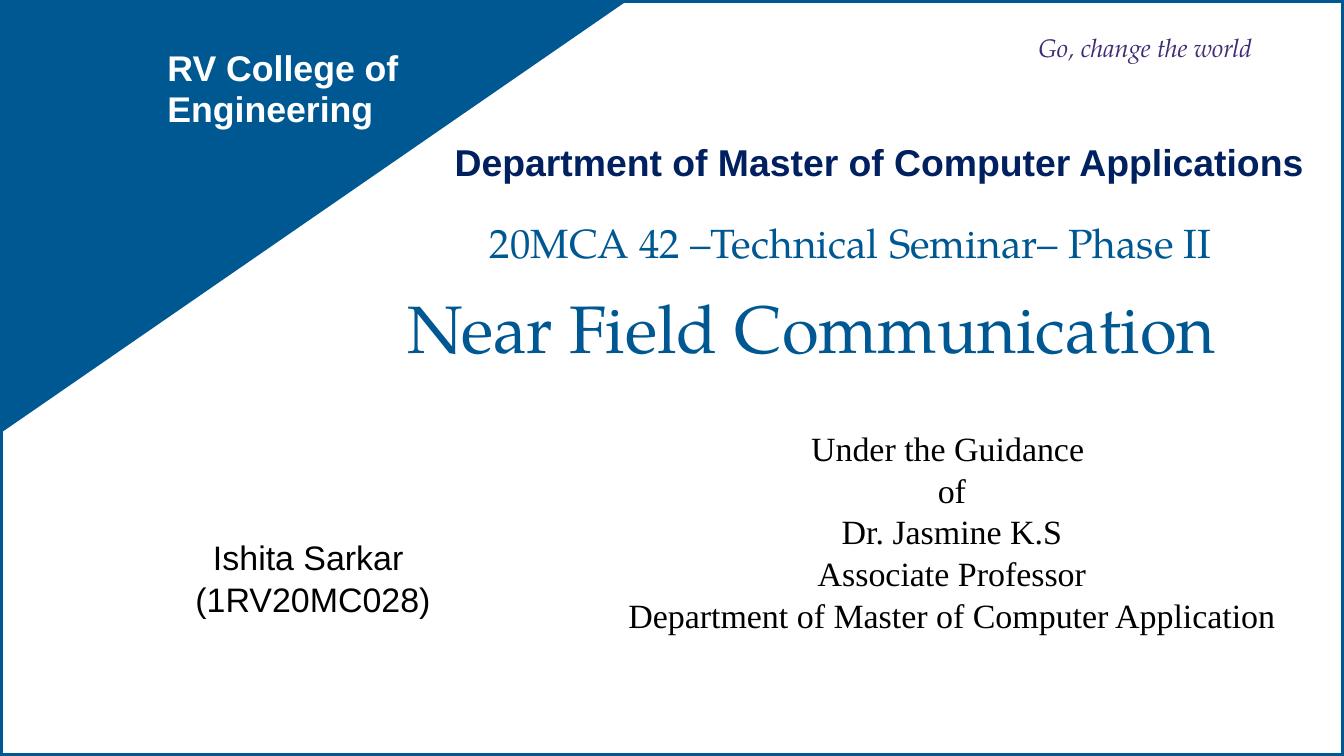
from dataclasses import dataclass

from pptx import Presentation
from pptx import util as u
from pptx.dml.color import RGBColor
from pptx.enum import shapes, text

BLUE, NAVY, PURPLE = "005893", "002060", "422C75"
WHITE, BLACK = "FFFFFF", "000000"
SERIF = "TeX Gyre Pagella"
WIDTH, HEIGHT = 21.99, 12.37
CENTER, RIGHT = text.PP_ALIGN.CENTER, text.PP_ALIGN.RIGHT


@dataclass
class Block:
    box: tuple[float, float, float, float]
    lines: list[str]
    size: float
    font: str = SERIF
    color: str = BLUE
    bold: bool = False
    italic: bool = False
    align: text.PP_ALIGN = text.PP_ALIGN.LEFT
    spacing: float | None = None


BLOCKS = [
    Block((2.74, 0.79, 4.17, 1.33), ["RV College of", "Engineering"], 42,
          "Arial", WHITE, bold=True, spacing=47),
    Block((16.99, 0.52, 4.42, 0.51), ["Go, change the world"], 30,
          color=PURPLE, italic=True),
    Block((6.91, 2.27, 14.44, 1.48),
          ["Department of Master of Computer Applications"], 44,
          "Arial", NAVY, bold=True, align=RIGHT),
    Block((6.66, 4.68, 14.92, 1.33), ["Near Field Communication"], 79),
    Block((0.83, 8.77, 8.58, 1.36), ["Ishita Sarkar ", "(1RV20MC028)"], 40,
          "Arial", BLACK, align=CENTER),
    Block((9.74, 6.99, 11.67, 4.07),
          ["Under the Guidance ", "of", "Dr. Jasmine K.S",
           "Associate Professor",
           "Department of Master of Computer Application"], 40,
          "Times New Roman", BLACK, align=CENTER),
    Block((7.38, 3.56, 13.08, 0.81),
          ["20MCA 42 –Technical Seminar– Phase II"], 48, align=CENTER),
]


def rgb(value: str) -> RGBColor:
    return RGBColor.from_string(value)


def add_text(p, content: str, *, size: float, font: str, color: str,
             bold: bool, italic: bool) -> None:
    r = p.add_run()
    r.text = content
    r.font.size = u.Pt(size)
    r.font.name = font
    r.font.color.rgb = rgb(color)
    r.font.bold = bold
    r.font.italic = italic


def draw_block(s, block: Block) -> None:
    sp = s.shapes.add_textbox(*map(u.Inches, block.box))
    tf = sp.text_frame
    tf.word_wrap = True
    tf.margin_left = tf.margin_right = tf.margin_bottom = 0
    tf.margin_top = u.Inches(0.01)
    for i, line in enumerate(block.lines):
        p = tf.paragraphs[0] if i == 0 else tf.add_paragraph()
        p.alignment = block.align
        if i:
            p.space_before = u.Pt(1)
        if block.spacing:
            p.line_spacing = u.Pt(block.spacing)
        add_text(p, line, size=block.size, font=block.font, color=block.color,
                 bold=block.bold, italic=block.italic)


def draw_frame(s) -> None:
    sp = s.shapes.add_shape(shapes.MSO_SHAPE.RECTANGLE, 0, 0,
                            u.Inches(WIDTH), u.Inches(HEIGHT))
    sp.shadow.inherit = False
    sp.fill.solid()
    sp.fill.fore_color.rgb = rgb(WHITE)
    sp.line.color.rgb = rgb(BLUE)
    sp.line.width = u.Pt(6)


def draw_corner(s) -> None:
    left, top, right, bottom = map(u.Inches, (-0.01, 0.02, 10.25, 7.1))
    fb = s.shapes.build_freeform(right, top)
    fb.add_line_segments([(left, top), (left, bottom)], close=True)
    sp = fb.convert_to_shape()
    sp.shadow.inherit = False
    sp.fill.solid()
    sp.fill.fore_color.rgb = rgb(BLUE)
    sp.line.fill.background()


def main() -> None:
    prs = Presentation()
    prs.slide_width, prs.slide_height = u.Inches(WIDTH), u.Inches(HEIGHT)
    s = prs.slides.add_slide(prs.slide_layouts[6])

    # Bordered page and blue corner
    draw_frame(s)
    draw_corner(s)

    # Headings, names and guide
    for block in BLOCKS:
        draw_block(s, block)

    prs.save("out.pptx")


if __name__ == "__main__":
    main()
